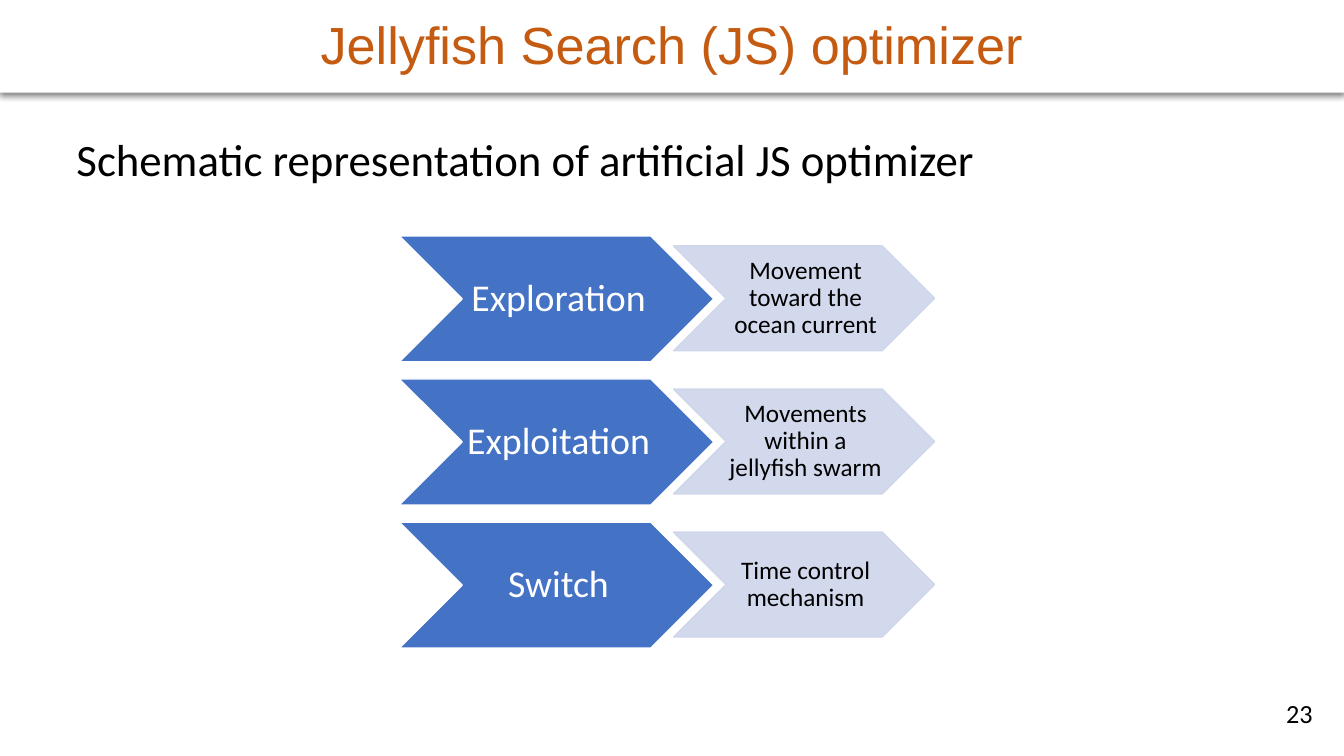
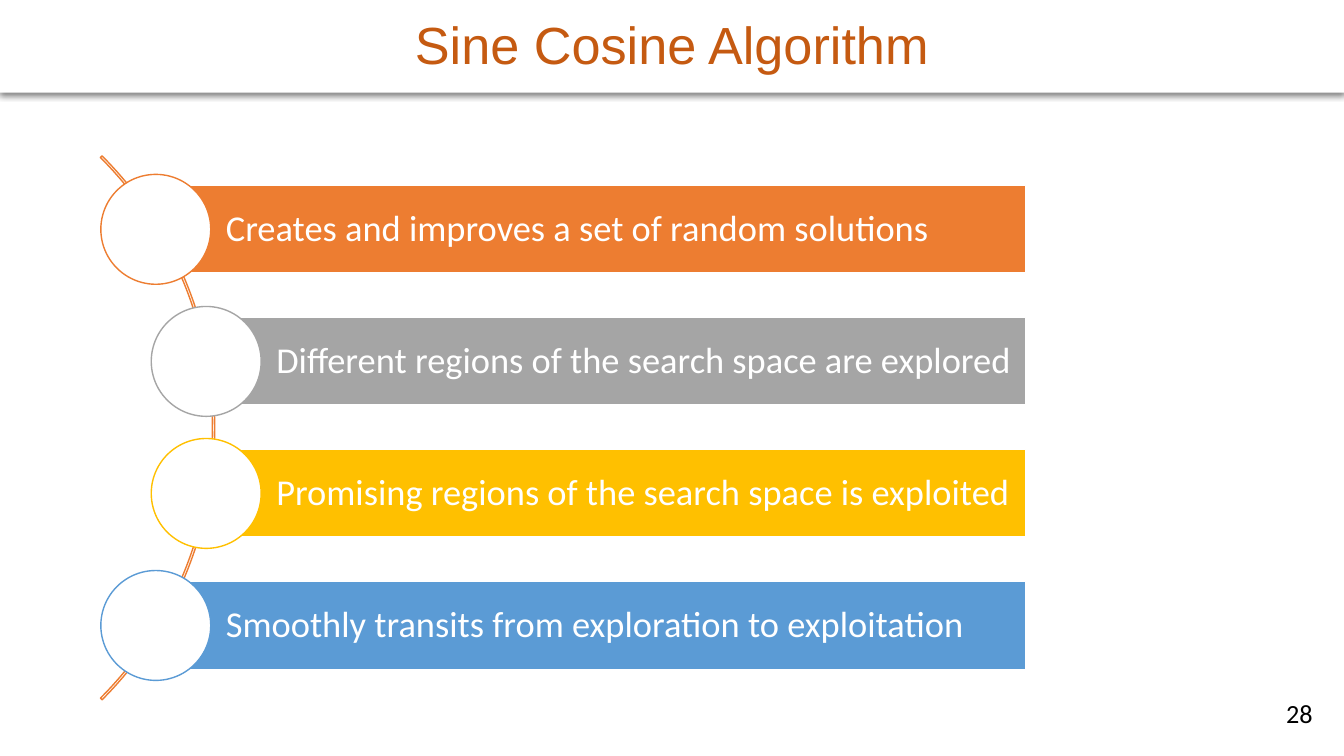
from lxml import etree
from pptx import Presentation
from pptx import util as u
from pptx.dml.color import RGBColor
from pptx.enum import shapes, text
from pptx.oxml import ns

BLACK = RGBColor(0x00, 0x00, 0x00)
WHITE = RGBColor(0xFF, 0xFF, 0xFF)
TITLE_ORANGE = RGBColor(0xC5, 0x5A, 0x11)
BLUE = RGBColor(0x44, 0x72, 0xC4)
PALE_BLUE = RGBColor(0xCF, 0xD5, 0xEA)
ORANGE = RGBColor(0xED, 0x7D, 0x31)
GRAY = RGBColor(0xA5, 0xA5, 0xA5)
GOLD = RGBColor(0xFF, 0xC0, 0x00)
SKY = RGBColor(0x5B, 0x9B, 0xD5)

SHAPE = shapes.MSO_SHAPE
ALIGN = text.PP_ALIGN
ANCHOR = text.MSO_ANCHOR
SLIDE_WIDTH = 13.33

PHASES = [
    ("Exploration", "Movement toward the ocean current"),
    ("Exploitation", "Movements within a jellyfish swarm"),
    ("Switch", "Time control mechanism"),
]
STEPS = [
    ("Creates and improves a set of random solutions", ORANGE, 1.55),
    ("Different regions of the search space are explored", GRAY, 2.05),
    ("Promising regions of the search space is exploited", GOLD, 2.05),
    ("Smoothly transits from exploration to exploitation", SKY, 1.55),
]


class Deck:
    body_font = "Calibri"
    title_font = "Arial"

    def __init__(self):
        self.presentation = Presentation()
        self.presentation.slide_width = u.Inches(SLIDE_WIDTH)
        self.presentation.slide_height = u.Inches(7.5)
        self.slide = None

    def new_slide(self, title, number):
        layout = self.presentation.slide_layouts[6]
        self.slide = self.presentation.slides.add_slide(layout)
        band = self.shape(SHAPE.RECTANGLE, (0, -0.05, SLIDE_WIDTH, 0.97), WHITE)
        self.cast_shadow(band)
        margins = (0.13, 0.13, 0.13, 0.13)
        self.label(band, title, 37.3, TITLE_ORANGE, margins, font=self.title_font)
        self.text_box((12.35, 6.8, 0.8, 0.55), number, 18.7, margins, ALIGN.RIGHT, ANCHOR.MIDDLE)

    def shape(self, kind, box, fill=None, line=None):
        shape = self.slide.shapes.add_shape(kind, *map(u.Inches, box))
        shape.shadow.inherit = False
        if fill is None:
            shape.fill.background()
        else:
            shape.fill.solid()
            shape.fill.fore_color.rgb = fill
        if line is None:
            shape.line.fill.background()
        else:
            shape.line.color.rgb = line
            shape.line.width = u.Pt(1)
        return shape

    def text_box(self, box, content, size, margins, align=ALIGN.LEFT, anchor=ANCHOR.TOP):
        shape = self.slide.shapes.add_textbox(*map(u.Inches, box))
        self.label(shape, content, size, BLACK, margins, align, anchor)

    def label(self, shape, content, size, color, margins, align=ALIGN.CENTER,
              anchor=ANCHOR.MIDDLE, spacing=None, font=None):
        frame = shape.text_frame
        frame.word_wrap = True
        frame.vertical_anchor = anchor
        (frame.margin_left, frame.margin_top,
         frame.margin_right, frame.margin_bottom) = map(u.Inches, margins)
        frame.text = content
        paragraph = frame.paragraphs[0]
        paragraph.alignment = align
        paragraph.line_spacing = spacing
        run_font = paragraph.runs[0].font
        run_font.name = font or self.body_font
        run_font.size = u.Pt(size)
        run_font.color.rgb = color

    def cast_shadow(self, shape):
        effects = shape.element.spPr.find(ns.qn("a:effectLst"))
        shadow = etree.SubElement(
            effects, ns.qn("a:outerShdw"), blurRad=str(u.Pt(4.5)), dist=str(u.Pt(1.5)),
            dir="5400000", algn="t", rotWithShape="0")
        color = etree.SubElement(shadow, ns.qn("a:srgbClr"), val=str(BLACK))
        etree.SubElement(color, ns.qn("a:alpha"), val="50000")

    def set_opacity(self, shape, percent):
        for color in shape.element.spPr.iter(ns.qn("a:srgbClr")):
            etree.SubElement(color, ns.qn("a:alpha"), val=str(percent * 1000))

    def phase(self, top, name, detail):
        chevron = self.shape(SHAPE.CHEVRON, (3.96, top, 3.12, 1.25), BLUE, WHITE)
        self.label(chevron, name, 27, WHITE, (0.04, 0.02, 0, 0.02), spacing=0.9)
        chevron = self.shape(SHAPE.CHEVRON, (6.68, top + 0.1, 2.59, 1.04), PALE_BLUE, PALE_BLUE)
        self.set_opacity(chevron, 90)
        self.label(chevron, detail, 18, BLACK, (0.03, 0.01, 0, 0.01), spacing=0.9)

    def arc(self, box, angles, thickness, color):
        arc = self.shape(SHAPE.BLOCK_ARC, box, line=color)
        for index, value in enumerate((*angles, thickness)):
            arc.adjustments[index] = value

    def step(self, left, top, content, color):
        right = 10.17
        bar = self.shape(SHAPE.RECTANGLE, (left, top, right - left, 0.87), color, WHITE)
        self.label(bar, content, 26, WHITE, (0.69, 0.07, 0.07, 0.07), ALIGN.LEFT, spacing=0.9)
        self.shape(SHAPE.OVAL, (left - 0.55, top - 0.11, 1.09, 1.09), WHITE, color)


def main():
    deck = Deck()

    deck.new_slide("Jellyfish Search (JS) optimizer", "23")
    deck.text_box((0.66, 1.26, 10.29, 0.64), "Schematic representation of artificial JS optimizer",
                  32, (0.1, 0.05, 0.1, 0.05))
    for row, (name, detail) in enumerate(PHASES):
        deck.phase(2.34 + 1.42 * row, name, detail)

    deck.new_slide("Sine Cosine Algorithm", "28")
    deck.arc((-5.5, 0.43, 7.63, 7.63), (189, 27), 0.003, ORANGE)
    for row, (content, color, left) in enumerate(STEPS):
        deck.step(left, 1.84 + 1.31 * row, content, color)

    deck.presentation.save("out.pptx")


if __name__ == "__main__":
    main()
